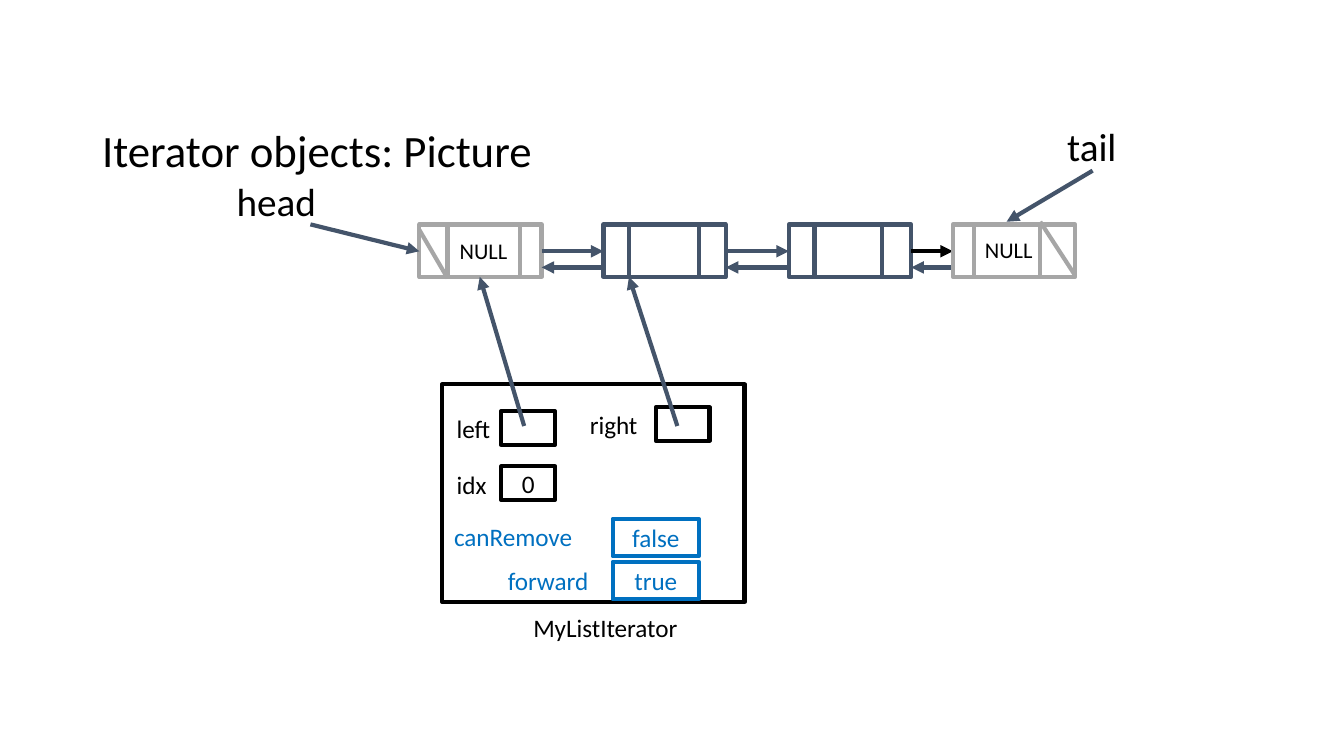
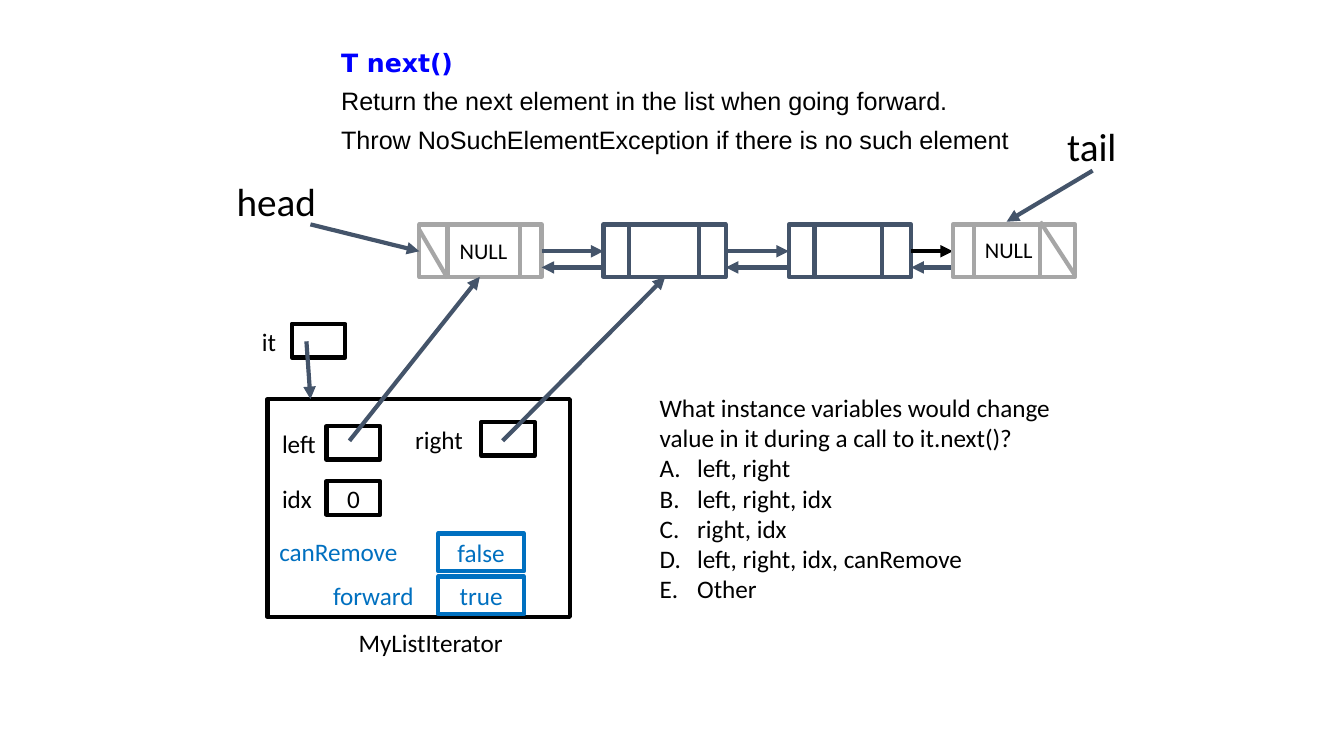
from dataclasses import dataclass

from lxml.etree import SubElement
from pptx import Presentation
from pptx.dml.color import RGBColor
from pptx.enum.shapes import MSO_CONNECTOR, MSO_SHAPE
from pptx.enum.text import MSO_ANCHOR, PP_ALIGN
from pptx.oxml.ns import qn
from pptx.util import Inches, Pt


@dataclass(frozen=True)
class Theme:
    black: str = "000000"
    slate: str = "44546A"
    gray: str = "A6A6A6"
    blue: str = "0070C0"
    code_blue: str = "0000FF"
    font: str = "Calibri"
    code_font: str = "DejaVu Sans"
    spec_font: str = "Arial"
    title: float = 24
    pointer: float = 21
    body: float = 13.5
    null: float = 12
    stroke: float = 2.25


T = Theme()
COL = ROW = Inches(0.1)  # the slide is a grid of 100 columns by 56.25 rows

prs = Presentation()
prs.slide_width, prs.slide_height = 100 * COL, int(56.25 * ROW)


def box(s, x, y, w, h, text="", size=T.body, color=T.black, outline=None, pad=(1, 0.5)):
    """Add an outlined cell with centred text, or a plain text box if no outline is given."""
    area = int(x * COL), int(y * ROW), int(w * COL), int(h * ROW)
    if outline:
        sp = s.shapes.add_shape(MSO_SHAPE.RECTANGLE, *area)
        sp.shadow.inherit = False
        sp.fill.background()
        sp.line.color.rgb = RGBColor.from_string(outline)
        sp.line.width = Pt(T.stroke)
    else:
        sp = s.shapes.add_textbox(*area)
    tf = sp.text_frame
    tf.word_wrap = True
    tf.vertical_anchor = MSO_ANCHOR.MIDDLE if outline else MSO_ANCHOR.TOP
    tf.margin_left = tf.margin_right = int(pad[0] * COL)
    tf.margin_top = tf.margin_bottom = int(pad[1] * ROW)
    tf.text = text
    for p in tf.paragraphs:
        p.alignment = PP_ALIGN.CENTER if outline else PP_ALIGN.LEFT
        for r in p.runs:
            r.font.name, r.font.size = T.font, Pt(size)
            r.font.color.rgb = RGBColor.from_string(color)
    return sp


def line(s, x1, y1, x2, y2, color=T.slate, arrow=False):
    c = s.shapes.add_connector(MSO_CONNECTOR.STRAIGHT, int(x1 * COL), int(y1 * ROW),
                               int(x2 * COL), int(y2 * ROW))
    c.line.color.rgb = RGBColor.from_string(color)
    c.line.width = Pt(T.stroke)
    if arrow:
        SubElement(c.line._get_or_add_ln(), qn("a:tailEnd"), type="triangle")
    SubElement(c._element.spPr, qn("a:effectLst"))


# Linked list: left edge, two dividers, colour, colour of the link to the next node
NODES = [
    (31.2, (2.1, 7.5), T.gray, T.slate),
    (44.9, (1.9, 7.1), T.slate, T.slate),
    (58.7, (1.9, 6.9), T.slate, T.black),
    (70.9, (1.6, 6.5), T.gray, None),
]
NODE_TOP, NODE_W, NODE_H = 16.7, 9.1, 3.9
NODE_BOTTOM = NODE_TOP + NODE_H
NEXT_Y, PREV_Y = 18.7, 19.9

# Iterator variables, relative to its frame: label, its place and width, cell, value, colour
FIELDS = [
    ("left", 0.1, 1.7, 4.8, (4.4, 2, 4, 2.5), "", T.black),
    ("right", 10, 1.4, 6.2, (15.9, 1.7, 4, 2.5), "", T.black),
    ("idx", 0.1, 5.8, 4.8, (4.4, 6.1, 4, 2.5), "0", T.black),
    ("canRemove", -0.1, 9.7, 12.9, (12.7, 10, 6.4, 2.8), "false", T.blue),
    ("forward", 3.9, 13, 8.6, (12.7, 13.2, 6.4, 2.8), "true", T.blue),
]

# Each slide: frame's left and top, targets of the left and right pointers
VIEWS = [
    (32.9, 28.6, (35.7, 46.8)),
    (19.9, 29.7, (35.7, 49.5)),
]

slides = []
for fx, fy, targets in VIEWS:
    s = prs.slides.add_slide(prs.slide_layouts[6])
    slides.append(s)

    for i, (x, dividers, color, link) in enumerate(NODES):
        sp = box(s, x, NODE_TOP, NODE_W, NODE_H, "NULL" if i == 0 else "",
                 T.null, outline=color, pad=(0.7, 0.7))
        if i == 0:
            sp.text_frame.margin_left = 3 * COL
            sp.text_frame.paragraphs[0].alignment = PP_ALIGN.LEFT
        for d in dividers:
            line(s, x + d, NODE_TOP, x + d, NODE_BOTTOM, color)
        if link:
            following = NODES[i + 1][0]
            line(s, x + NODE_W, NEXT_Y, following, NEXT_Y, link, arrow=True)
            line(s, following, PREV_Y, x + NODE_W, PREV_Y, arrow=True)
    box(s, 72.3, 17.1, 6.2, 3, "NULL", T.null)
    line(s, 31.2, 17.1, 33.3, 20.7, T.gray)
    line(s, 77.4, 16.5, 80, 20.5, T.gray)

    box(s, 16.9, 12.5, 27.2, 3.1, "head", T.pointer, pad=(0.7, 0.7))
    line(s, 23.1, 16.7, 31.2, NEXT_Y, arrow=True)
    box(s, 78.7, 8.4, 7, 3.1, "tail", T.pointer, pad=(0.7, 0.7))
    line(s, 81.3, 12.7, 74.9, 16.5, arrow=True)

    box(s, fx, fy, 22.5, 16.2, outline=T.black)
    box(s, fx + 5.8, fy + 16.5, 13.3, 3.3, "MyListIterator")
    for label, lx, ly, lw, (cx, cy, cw, ch), value, color in FIELDS:
        box(s, fx + lx, fy + ly, lw, 3.3, label, color=color)
        box(s, fx + cx, fy + cy, cw, ch, value, color=color, outline=color)
    for start, target in zip((6.1, 17.5), targets):
        line(s, fx + start, fy + 3.1, target, NODE_BOTTOM, arrow=True)

overview, question = slides

tf = box(overview, 6.9, 3, 86.2, 10.9, "Iterator objects: Picture", T.title,
         pad=(0.7, 0.7)).text_frame
tf.vertical_anchor = MSO_ANCHOR.BOTTOM
tf.paragraphs[0].line_spacing = 0.9

spec_lines = [
    "T next()",
    "Return the next element in the list when going forward.",
    "Throw NoSuchElementException if there is no such element",
]
signature, *details = box(question, 24.4, 3, 56.5, 9.2,
                          "\n".join(spec_lines)).text_frame.paragraphs
f = signature.runs[0].font
f.name, f.bold, f.color.rgb = T.code_font, True, RGBColor.from_string(T.code_blue)
for p in details:
    p.space_before = Pt(4.5)
    p.runs[0].font.name = T.spec_font

box(question, 18.5, 23.8, 4.4, 3.3, "it")
box(question, 21.7, 24.1, 4, 2.5, outline=T.black)
line(question, 22.8, 25.4, 23.1, 29.7, arrow=True)

quiz_lines = [
    "What instance variables would change value in it during a call to it.next()?",
    "left, right",
    "left, right, idx",
    "right, idx",
    "left, right, idx, canRemove",
    "Other",
]
tf = box(question, 48.1, 28.7, 33.7, 16.9, "\n".join(quiz_lines)).text_frame
for p in tf.paragraphs[1:]:
    pPr = p._p.get_or_add_pPr()
    pPr.set("marL", str(int(2.8 * COL)))
    pPr.set("indent", str(int(-2.8 * COL)))
    SubElement(pPr, qn("a:buFont"), typeface=T.font)
    SubElement(pPr, qn("a:buAutoNum"), type="alphaUcPeriod")

prs.save("out.pptx")
